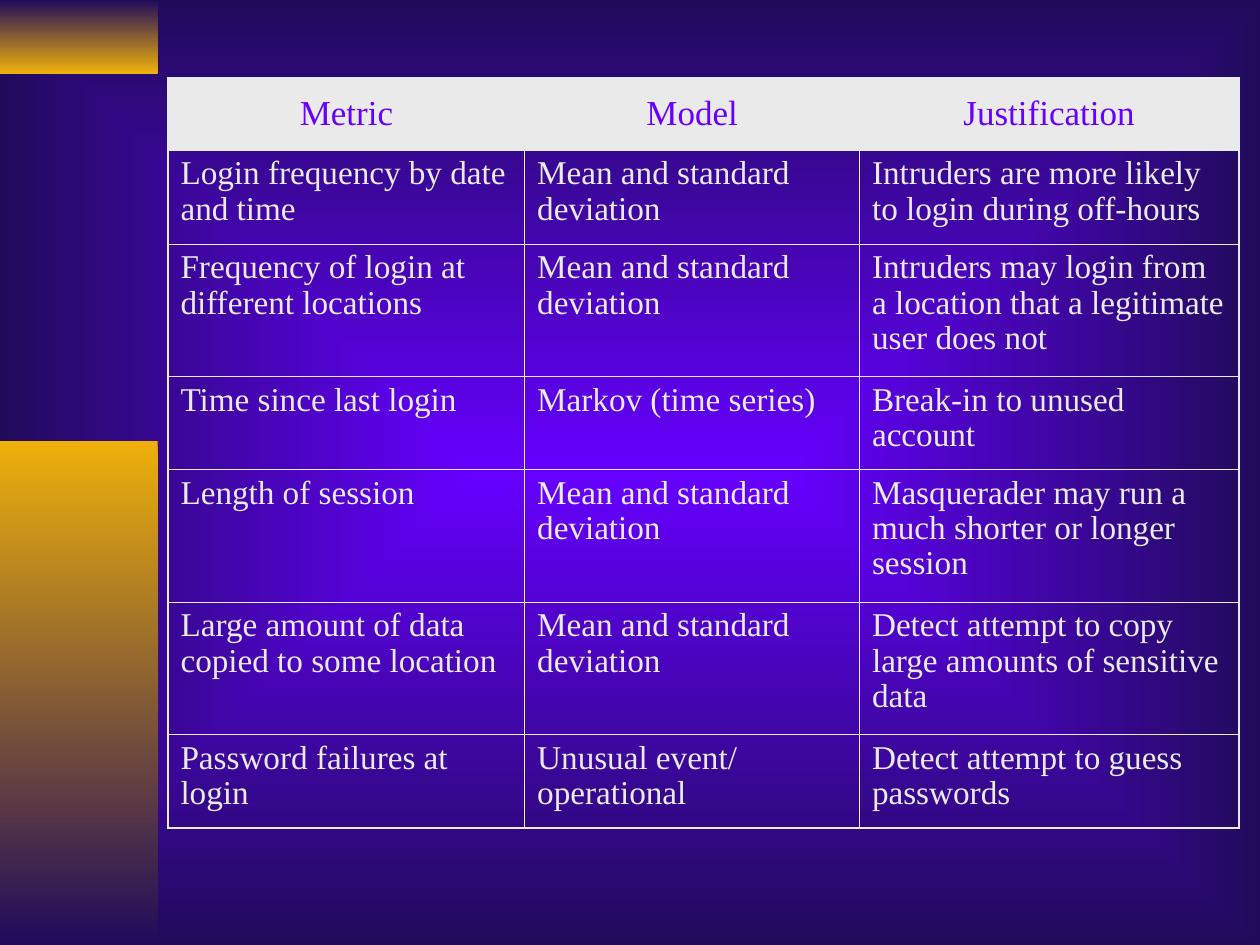
"""Build a slide with a table of intrusion detection metrics, models and justifications."""
from dataclasses import dataclass

from lxml import etree
from pptx import Presentation
from pptx.dml.color import RGBColor
from pptx.enum import shapes, text
from pptx.oxml import ns
from pptx.util import Cm, Pt


@dataclass(frozen=True)
class Theme:
    """Colours, type sizes and line widths."""
    violet: str = "6600FF"
    navy: str = "200B5B"
    gold: str = "EEB00B"
    pale: str = "EAEAEA"
    font: str = "Times New Roman"
    header_size: float = 20
    body_size: float = 19
    outer_line: float = 1.08
    inner_line: float = 0.45


@dataclass(frozen=True)
class Band:
    """A vertical gradient block on the left edge."""
    top: float
    height: float
    start: str
    end: str


@dataclass(frozen=True)
class MetricRow:
    """One table row and its height in centimetres."""
    height: float
    metric: str
    model: str
    justification: str


THEME = Theme()
BAND_WIDTH = 3.18
TABLE_LEFT, TABLE_TOP = 3.39, 1.57
COLUMN_WIDTHS = (7.19, 6.75, 7.64)
BANDS = (
    Band(0, 1.48, THEME.navy, THEME.gold),
    Band(8.89, 10.16, THEME.gold, THEME.navy),
)
STATISTICAL = "Mean and standard deviation"
ROWS = (
    MetricRow(1.46, "Metric", "Model", "Justification"),
    MetricRow(1.89, "Login frequency by date and time", STATISTICAL,
              "Intruders are more likely to login during off-hours"),
    MetricRow(2.67, "Frequency of login at different locations", STATISTICAL,
              "Intruders may login from a location that a legitimate user does not"),
    MetricRow(1.88, "Time since last login", "Markov (time series)",
              "Break-in to unused account"),
    MetricRow(2.67, "Length of session", STATISTICAL,
              "Masquerader may run a much shorter or longer session"),
    MetricRow(2.67, "Large amount of data copied to some location", STATISTICAL,
              "Detect attempt to copy large amounts of sensitive data"),
    MetricRow(1.88, "Password failures at login", "Unusual event/ operational",
              "Detect attempt to guess passwords"),
)


def apply_formats(target, formats: dict) -> None:
    """Set each named attribute on the target."""
    for name, value in formats.items():
        setattr(target, name, value)


def fill_gradient(fill, start: str, end: str) -> None:
    """Give the fill a two-stop gradient running downwards."""
    fill.gradient()
    fill.gradient_angle = 270
    for stop, position, colour in zip(fill.gradient_stops, (0, 1), (start, end)):
        stop.position = position
        stop.color.rgb = RGBColor.from_string(colour)


def paint_background(slide) -> None:
    """Fill the background with a gradient radiating from the centre."""
    fill_gradient(slide.background.fill, THEME.violet, THEME.navy)
    linear = next(slide.element.iter(ns.qn("a:lin")))
    radial = etree.Element(ns.qn("a:path"), {"path": "rect"})
    etree.SubElement(radial, ns.qn("a:fillToRect"), dict.fromkeys("ltrb", "50000"))
    linear.getparent().replace(linear, radial)


def draw_band(slide, band: Band) -> None:
    """Draw one gradient block."""
    shape = slide.shapes.add_shape(
        shapes.MSO_SHAPE.RECTANGLE, Cm(0), Cm(band.top), Cm(BAND_WIDTH), Cm(band.height))
    shape.shadow.inherit = False
    shape.line.fill.background()
    fill_gradient(shape.fill, band.start, band.end)


def set_borders(cell, outer_sides: dict[str, bool]) -> None:
    """Draw the four cell borders, thicker on the outer sides."""
    properties = cell._tc.get_or_add_tcPr()
    for index, (side, is_outer) in enumerate(outer_sides.items()):
        width = Pt(THEME.outer_line if is_outer else THEME.inner_line)
        line = etree.Element(ns.qn(f"a:ln{side}"), {"w": str(width)})
        solid = etree.SubElement(line, ns.qn("a:solidFill"))
        etree.SubElement(solid, ns.qn("a:srgbClr"), {"val": THEME.pale})
        properties.insert(index, line)


def fill_cell(cell, wording: str, is_header: bool) -> None:
    """Write and format one cell."""
    size = THEME.header_size if is_header else THEME.body_size
    cell.text = wording
    apply_formats(cell, {
        "margin_left": Cm(0.25), "margin_right": Cm(0.25),
        "margin_top": Cm(0.13), "margin_bottom": Cm(0.13),
        "vertical_anchor": text.MSO_ANCHOR.MIDDLE if is_header else text.MSO_ANCHOR.TOP,
    })
    paragraph = cell.text_frame.paragraphs[0]
    apply_formats(paragraph, {
        "alignment": text.PP_ALIGN.CENTER if is_header else text.PP_ALIGN.LEFT,
        "space_before": Pt(size / 2),
        "line_spacing": 0.96,
    })
    font = paragraph.runs[0].font
    apply_formats(font, {"name": THEME.font, "size": Pt(size), "bold": False})
    font.color.rgb = RGBColor.from_string(THEME.violet if is_header else THEME.pale)
    if is_header:
        cell.fill.solid()
        cell.fill.fore_color.rgb = RGBColor.from_string(THEME.pale)
    else:
        cell.fill.background()


def draw_table(slide, rows: tuple[MetricRow, ...]) -> None:
    """Draw the metrics table."""
    last_row, last_column = len(rows) - 1, len(COLUMN_WIDTHS) - 1
    table = slide.shapes.add_table(
        len(rows), len(COLUMN_WIDTHS), Cm(TABLE_LEFT), Cm(TABLE_TOP),
        Cm(sum(COLUMN_WIDTHS)), Cm(sum(row.height for row in rows))).table
    table.horz_banding = False
    for column, width in zip(table.columns, COLUMN_WIDTHS):
        column.width = Cm(width)
    for row_index, row in enumerate(rows):
        table.rows[row_index].height = Cm(row.height)
        for column_index, wording in enumerate((row.metric, row.model, row.justification)):
            cell = table.cell(row_index, column_index)
            fill_cell(cell, wording, is_header=row_index == 0)
            set_borders(cell, {
                "L": column_index == 0, "R": column_index == last_column,
                "T": row_index == 0, "B": row_index == last_row,
            })


def main() -> None:
    """Build and save the presentation."""
    presentation = Presentation()
    apply_formats(presentation, {"slide_width": Cm(25.4), "slide_height": Cm(19.05)})
    slide = presentation.slides.add_slide(presentation.slide_layouts[6])
    paint_background(slide)
    for band in BANDS:
        draw_band(slide, band)
    draw_table(slide, ROWS)
    presentation.save("out.pptx")


if __name__ == "__main__":
    main()
